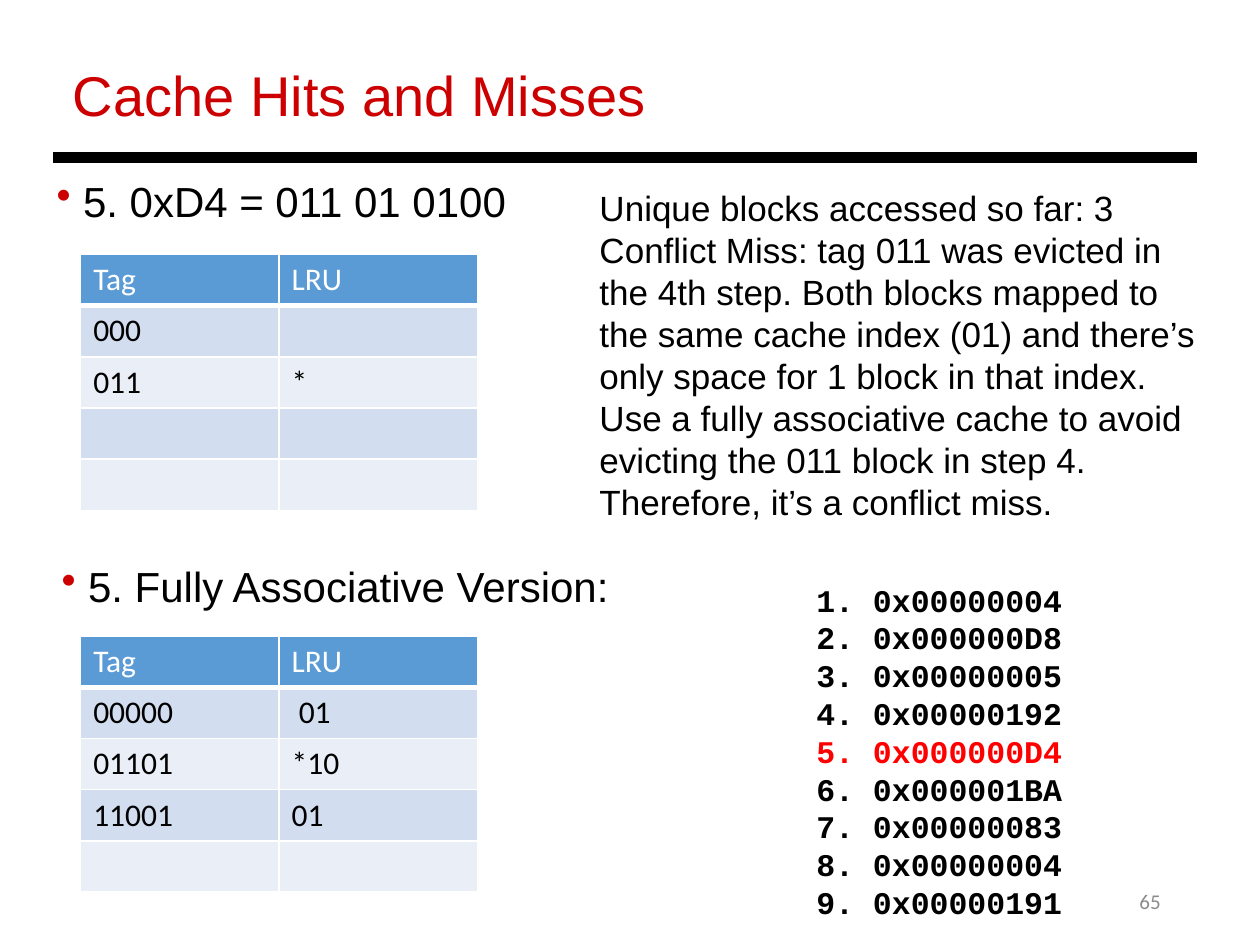
from pptx import Presentation
from pptx.dml.color import RGBColor
from pptx.enum.shapes import MSO_CONNECTOR
from pptx.enum.text import MSO_ANCHOR, PP_ALIGN
from pptx.oxml.ns import qn
from pptx.util import Inches, Pt
from lxml.etree import SubElement

BLACK = RGBColor(0x00, 0x00, 0x00)
WHITE = RGBColor(0xFF, 0xFF, 0xFF)
CRIMSON = RGBColor(0xCC, 0x00, 0x00)
RED = RGBColor(0xFF, 0x00, 0x00)
GREY = RGBColor(0x8C, 0x8C, 0x8C)
BLUE = RGBColor(0x5B, 0x9B, 0xD5)
BANDS = [RGBColor(0xEA, 0xEF, 0xF7), RGBColor(0xD2, 0xDE, 0xEF)]

# Content
TITLE = "Cache Hits and Misses"
NUMBER = "65"
HEADS = [
    (0.35, 1.34, " 5. 0xD4 = 011 01 0100"),
    (0.39, 4.4, " 5. Fully Associative Version:"),
]
TABLES = [
    (2.02, [("Tag", "LRU"), ("000", ""), ("011", "*"), ("", ""), ("", "")]),
    (5.05, [("Tag", "LRU"), ("00000", " 01"), ("01101", "*10"),
            ("11001", "01"), ("", "")]),
]
NOTES = [
    "Unique blocks accessed so far: 3",
    "Conflict Miss: tag 011 was evicted in the 4th step. Both blocks mapped "
    "to the same cache index (01) and there’s only space for 1 block in that "
    "index. Use a fully associative cache to avoid evicting the 011 block in "
    "step 4. Therefore, it’s a conflict miss.",
]
TRACE = ["0x00000004", "0x000000D8", "0x00000005", "0x00000192", "0x000000D4",
         "0x000001BA", "0x00000083", "0x00000004", "0x00000191"]
STEP = 5


def add_run(para, text, size, face, color, bold=False):
    run = para.add_run()
    run.text = text
    font = run.font
    font.size, font.name, font.bold = Pt(size), face, bold
    font.color.rgb = color


def add_text(slide, box, lines, size, face="Arial", bold=False, bullet=False):
    """Place a text box; lines are (text, color) pairs."""
    frame = slide.shapes.add_textbox(*map(Inches, box)).text_frame
    frame.word_wrap = True
    for i, (text, color) in enumerate(lines):
        para = frame.add_paragraph() if i else frame.paragraphs[0]
        para.line_spacing = Pt(size * 1.2)
        if bullet:
            props = para._p.get_or_add_pPr()
            props.set("marL", "0")
            props.set("indent", "0")
            tint = SubElement(props, qn("a:buClr"))
            SubElement(tint, qn("a:srgbClr")).set("val", str(CRIMSON))
            SubElement(props, qn("a:buChar")).set("char", "•")
        add_run(para, text, size, face, color, bold)
    return frame


def add_edges(cell, head):
    """Draw white borders, thicker under the header row."""
    props = cell._tc.get_or_add_tcPr()
    for side in "LRTB":
        edge = SubElement(props, qn("a:ln" + side))
        edge.set("w", str(Pt(3 if head and side == "B" else 1)))
        fill = SubElement(edge, qn("a:solidFill"))
        SubElement(fill, qn("a:srgbClr")).set("val", str(WHITE))


def add_grid(slide, top, rows):
    box = map(Inches, (0.64, top, 3.15, 2.03))
    table = slide.shapes.add_table(len(rows), len(rows[0]), *box).table
    for r, row in enumerate(rows):
        for c, text in enumerate(row):
            cell = table.cell(r, c)
            add_edges(cell, r == 0)
            cell.fill.solid()
            cell.fill.fore_color.rgb = BANDS[r % 2] if r else BLUE
            if text:
                add_run(cell.text_frame.paragraphs[0], text, 18, "Calibri",
                        BLACK if r else WHITE)


def main():
    deck = Presentation()
    deck.slide_width, deck.slide_height = Inches(10), Inches(7.5)
    slide = deck.slides.add_slide(deck.slide_layouts[6])

    # Slide number
    frame = add_text(slide, (7.06, 6.95, 2.25, 0.4), [(NUMBER, GREY)], 12,
                     "Calibri")
    frame.vertical_anchor = MSO_ANCHOR.MIDDLE
    frame.paragraphs[0].alignment = PP_ALIGN.RIGHT

    # Title and rule
    add_text(slide, (0.48, 0.43, 8.79, 0.64), [(TITLE, CRIMSON)], 32)
    rule = slide.shapes.add_connector(
        MSO_CONNECTOR.STRAIGHT, *map(Inches, (0.42, 1.25, 9.5, 1.25)))
    rule.line.color.rgb = BLACK
    rule.line.width = Pt(6)
    SubElement(rule._element.spPr, qn("a:effectLst"))

    # Headings and cache tables
    for left, top, text in HEADS:
        add_text(slide, (left, top, 8.92, 0.5), [(text, BLACK)], 24,
                 bullet=True)
    for top, rows in TABLES:
        add_grid(slide, top, rows)

    # Address trace with the current step marked
    trace = [(f"{n}. {code}", RED if n == STEP else BLACK)
             for n, code in enumerate(TRACE, 1)]
    add_text(slide, (6.38, 4.56, 2.75, 2.83), trace, 18, "Courier New", True)

    # Explanation
    add_text(slide, (4.66, 1.43, 5, 2.79), [(t, BLACK) for t in NOTES], 20)

    deck.save("out.pptx")


if __name__ == "__main__":
    main()
